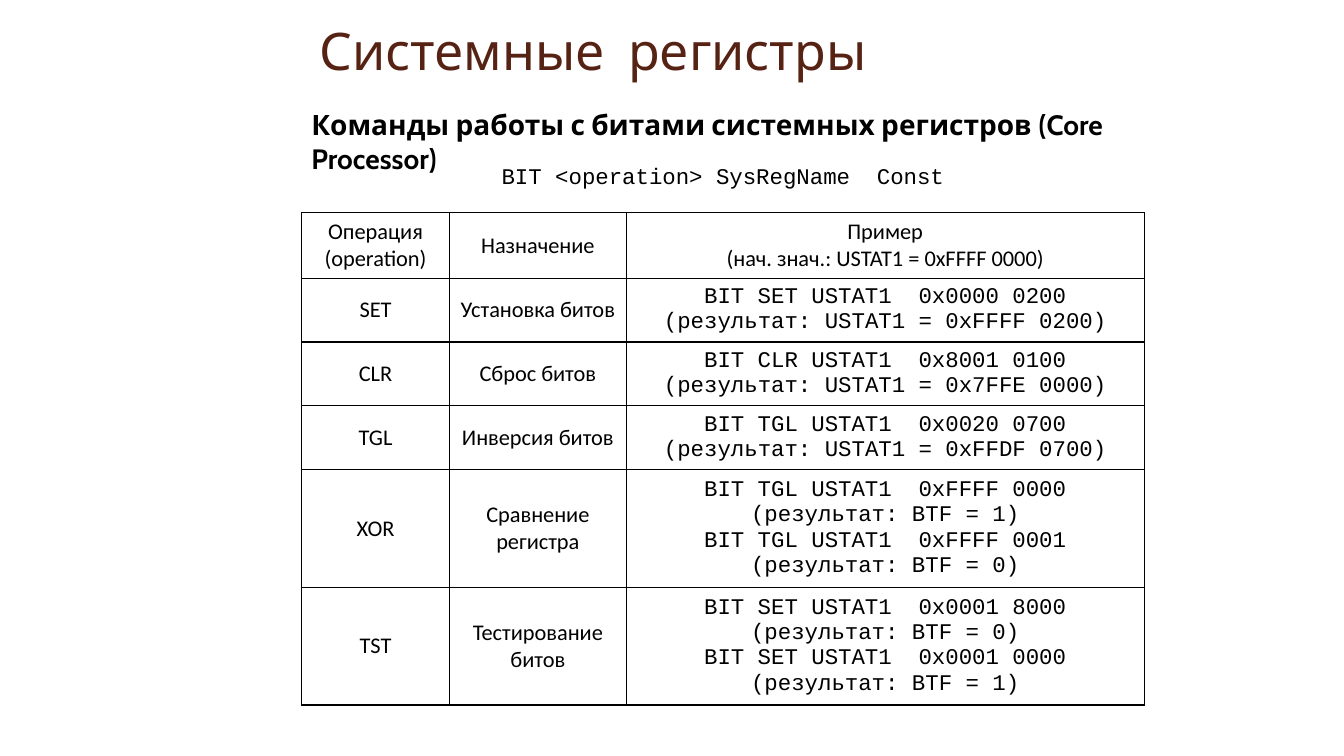
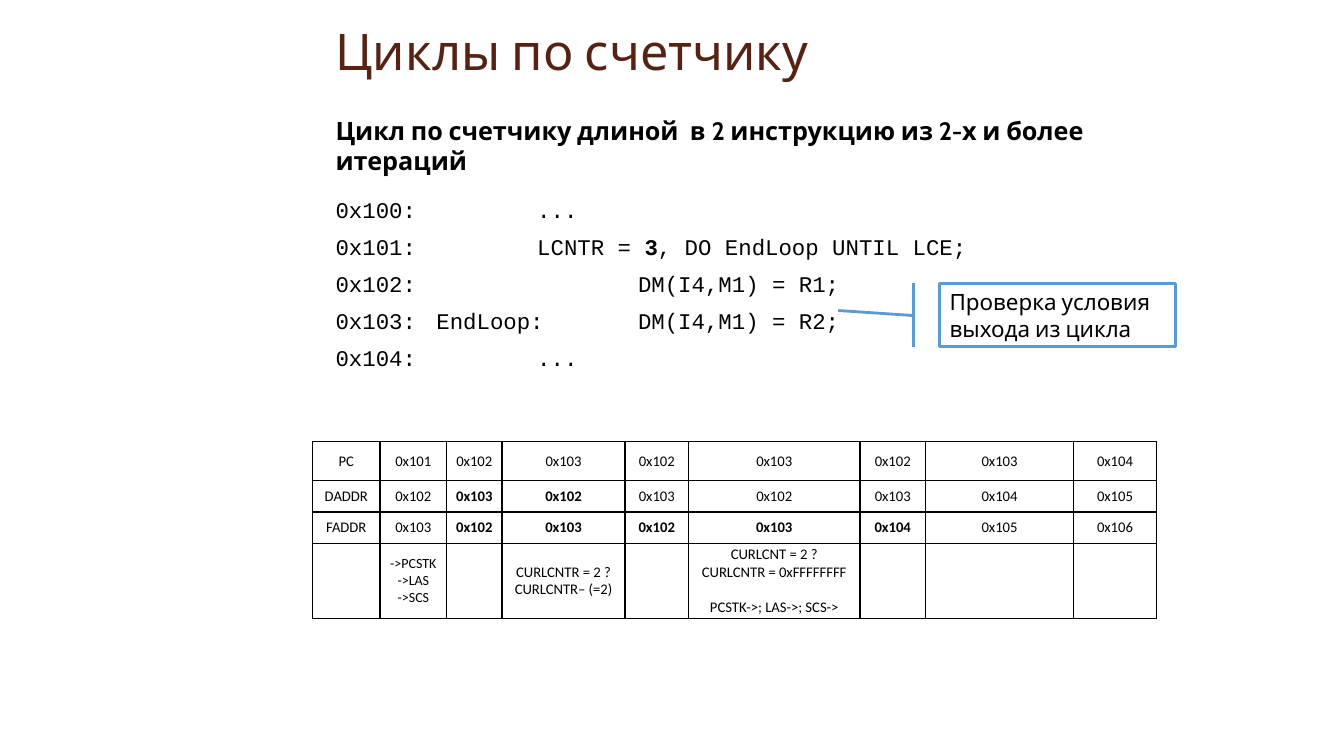
from lxml import etree
from pptx import Presentation
from pptx.dml.color import RGBColor
from pptx.enum import shapes, text
from pptx.oxml import ns
from pptx.util import Inches, Pt

HEADING, BODY, CODE = "Cabin", "Calibri", "Courier New"
BROWN, BLACK, WHITE, BLUE = "562214", "000000", "FFFFFF", "5B9BD5"


def rgb(hex_code):
    return RGBColor.from_string(hex_code)


def add_xml(parent, tag, **attributes):
    return etree.SubElement(parent, ns.qn(tag), attributes)


class Deck:
    """Holds the shared style and the slide being filled."""

    def __init__(self):
        self.prs = Presentation()
        self.prs.slide_width = Inches(13.33)
        self.prs.slide_height = Inches(7.5)
        self.slide = None

    def place(self, shape, left, top, width, height):
        shape.left, shape.top = Inches(left), Inches(top)
        shape.width, shape.height = Inches(width), Inches(height)

    def set_lines(self, frame, lines, size, font, color=BLACK, bold=False,
                  align=text.PP_ALIGN.LEFT, gap=0, tabs=()):
        """Fill a frame; a line is a string, or a tuple whose odd parts are bold."""
        for i, line in enumerate(lines):
            paragraph = frame.paragraphs[0] if i == 0 else frame.add_paragraph()
            paragraph.alignment = align
            if i and gap:
                paragraph.space_before = Pt(gap)
            if tabs:
                tab_list = add_xml(paragraph._p.get_or_add_pPr(), "a:tabLst")
                for stop in tabs:
                    add_xml(tab_list, "a:tab", pos=str(Inches(stop)), algn="l")
            style = paragraph.font
            style.size, style.name, style.bold = Pt(size), font, bold
            style.color.rgb = rgb(color)
            parts = (line,) if isinstance(line, str) else line
            for n, part in enumerate(parts):
                run = paragraph.add_run()
                run.text = part
                if n % 2:
                    run.font.bold = True

    def new_slide(self, title, box, size):
        self.slide = self.prs.slides.add_slide(self.prs.slide_layouts[5])
        heading = self.slide.shapes.title
        self.place(heading, *box)
        frame = heading.text_frame
        frame.auto_size = text.MSO_AUTO_SIZE.NONE
        frame.vertical_anchor = text.MSO_ANCHOR.BOTTOM
        self.set_lines(frame, [title], size, HEADING, BROWN)
        frame.paragraphs[0].line_spacing = 0.9

    def text_box(self, box, lines, size, font, **style):
        frame = self.slide.shapes.add_textbox(*map(Inches, box)).text_frame
        frame.word_wrap = True
        self.set_lines(frame, lines, size, font, **style)

    def subtitle(self, box, line, size):
        self.text_box(box, [line], size, HEADING, bold=True)

    def table(self, left, top, widths, heights, rows, cell_style, margins=None):
        """Draw a ruled table; cell_style(row, column) gives the text style."""
        table = self.slide.shapes.add_table(
            len(rows), len(widths), Inches(left), Inches(top),
            Inches(sum(widths)), Inches(sum(heights))).table
        table.first_row = table.horz_banding = False
        for column, width in zip(table.columns, widths):
            column.width = Inches(width)
        for r, (row, height) in enumerate(zip(rows, heights)):
            table.rows[r].height = Inches(height)
            for c, content in enumerate(row):
                cell = table.cell(r, c)
                self.rule(cell)
                cell.vertical_anchor = text.MSO_ANCHOR.MIDDLE
                if margins is not None:
                    cell.margin_left = cell.margin_right = Inches(margins)
                    cell.margin_top = cell.margin_bottom = Inches(margins)
                self.set_lines(cell.text_frame, content.split("\n"),
                               align=text.PP_ALIGN.CENTER, **cell_style(r, c))
        return table

    def rule(self, cell):
        """Give a cell black borders and no fill."""
        properties = cell._tc.get_or_add_tcPr()
        for side in "LRTB":
            line = add_xml(properties, f"a:ln{side}", w=str(Pt(1)))
            add_xml(add_xml(line, "a:solidFill"), "a:srgbClr", val=BLACK)
        cell.fill.background()

    def callout(self, box, line, adjustments):
        shape = self.slide.shapes.add_shape(
            shapes.MSO_SHAPE.LINE_CALLOUT_1_BORDER_AND_ACCENT_BAR, *map(Inches, box))
        shape.shadow.inherit = False
        for i, value in enumerate(adjustments):
            shape.adjustments[i] = value
        shape.fill.solid()
        shape.fill.fore_color.rgb = rgb(WHITE)
        shape.line.color.rgb = rgb(BLUE)
        shape.line.width = Pt(2)
        shape.text_frame.word_wrap = True
        shape.text_frame.vertical_anchor = text.MSO_ANCHOR.MIDDLE
        self.set_lines(shape.text_frame, [line], 16, HEADING)


def registers_slide(deck):
    deck.new_slide("Системные  регистры", (3.07, 0, 8.59, 0.86), 37)
    deck.subtitle((2.99, 1.02, 8.44, 0.44),
                  "Команды работы с битами системных регистров (Core Processor)", 20)
    operations = [
        ("Операция (operation)", "Назначение",
         "Пример\n(нач. знач.: USTAT1 = 0xFFFF 0000)"),
        ("SET", "Установка битов",
         "BIT SET USTAT1  0x0000 0200\n(результат: USTAT1 = 0xFFFF 0200)"),
        ("CLR", "Сброс битов",
         "BIT CLR USTAT1  0x8001 0100\n(результат: USTAT1 = 0x7FFE 0000)"),
        ("TGL", "Инверсия битов",
         "BIT TGL USTAT1  0x0020 0700\n(результат: USTAT1 = 0xFFDF 0700)"),
        ("XOR", "Сравнение регистра",
         "BIT TGL USTAT1  0xFFFF 0000\n(результат: BTF = 1)\n"
         "BIT TGL USTAT1  0xFFFF 0001\n(результат: BTF = 0)"),
        ("TST", "Тестирование битов",
         "BIT SET USTAT1  0x0001 8000\n(результат: BTF = 0)\n"
         "BIT SET USTAT1  0x0001 0000\n(результат: BTF = 1)"),
    ]

    def cell_style(row, column):
        return {"size": 16, "font": CODE if row and column == 2 else BODY}

    deck.table(2.99, 2.11, [1.47, 1.75, 5.14], [0.65] + [0.6] * 3 + [1.11] * 2,
               operations, cell_style)
    deck.text_box((2.99, 1.56, 8.36, 0.37), ["BIT <operation> SysRegName  Const"],
                  16, CODE, align=text.PP_ALIGN.CENTER)


def loops_slide(deck):
    deck.new_slide("Циклы по счетчику", (3.23, 0.16, 8.1, 0.7), 36)
    deck.subtitle((3.23, 1.09, 7.81, 0.4),
                  "Цикл по счетчику длиной  в 2 инструкцию из 2-х и более итераций", 18)
    pipeline = [
        ["PC", "0x101"] + ["0x102", "0x103"] * 3 + ["0x104"],
        ["DADDR"] + ["0x102", "0x103"] * 3 + ["0x104", "0x105"],
        ["FADDR"] + ["0x103", "0x102"] * 2 + ["0x103", "0x104", "0x105", "0x106"],
        ["", "->PCSTK\n->LAS\n->SCS", "", "CURLCNTR = 2 ?\nCURLCNTR– (=2)", "",
         "CURLCNT = 2 ?\nCURLCNTR = 0xFFFFFFFF\nPCSTK->; LAS->; SCS->", "", "", ""],
    ]
    bold_columns = {1: range(2, 4), 2: range(2, 7)}

    def cell_style(row, column):
        return {"size": 10 if (row, column) == (3, 1) else 10.5, "font": BODY,
                "bold": column in bold_columns.get(row, ())}

    stages = deck.table(3.1, 4.38, [0.67, 0.66, 0.55, 1.22, 0.63, 1.7, 0.65, 1.47, 0.82],
                        [0.39, 0.31, 0.31, 0.75], pipeline, cell_style, margins=0.02)
    stages.cell(3, 5).text_frame.paragraphs[-1].space_before = Pt(12.8)

    program = [
        "0x100: \t\t...",
        ("0x101: \t\tLCNTR = ", "3", ", DO EndLoop UNTIL LCE;"),
        "0x102:\t\t\tDM(I4,M1) = R1;",
        "0x103:\tEndLoop:  \tDM(I4,M1) = R2;",
        "0x104:\t\t...",
    ]
    deck.text_box((3.23, 1.9, 7.81, 1.78), program, 16, CODE, gap=7.2, tabs=(1, 2, 3))
    deck.callout((9.32, 2.81, 2.34, 0.63), "Проверка условия выхода из цикла",
                 (0.51, -0.11, 0.43, -0.43))


def main():
    deck = Deck()
    registers_slide(deck)
    loops_slide(deck)
    deck.prs.save("out.pptx")


if __name__ == "__main__":
    main()
